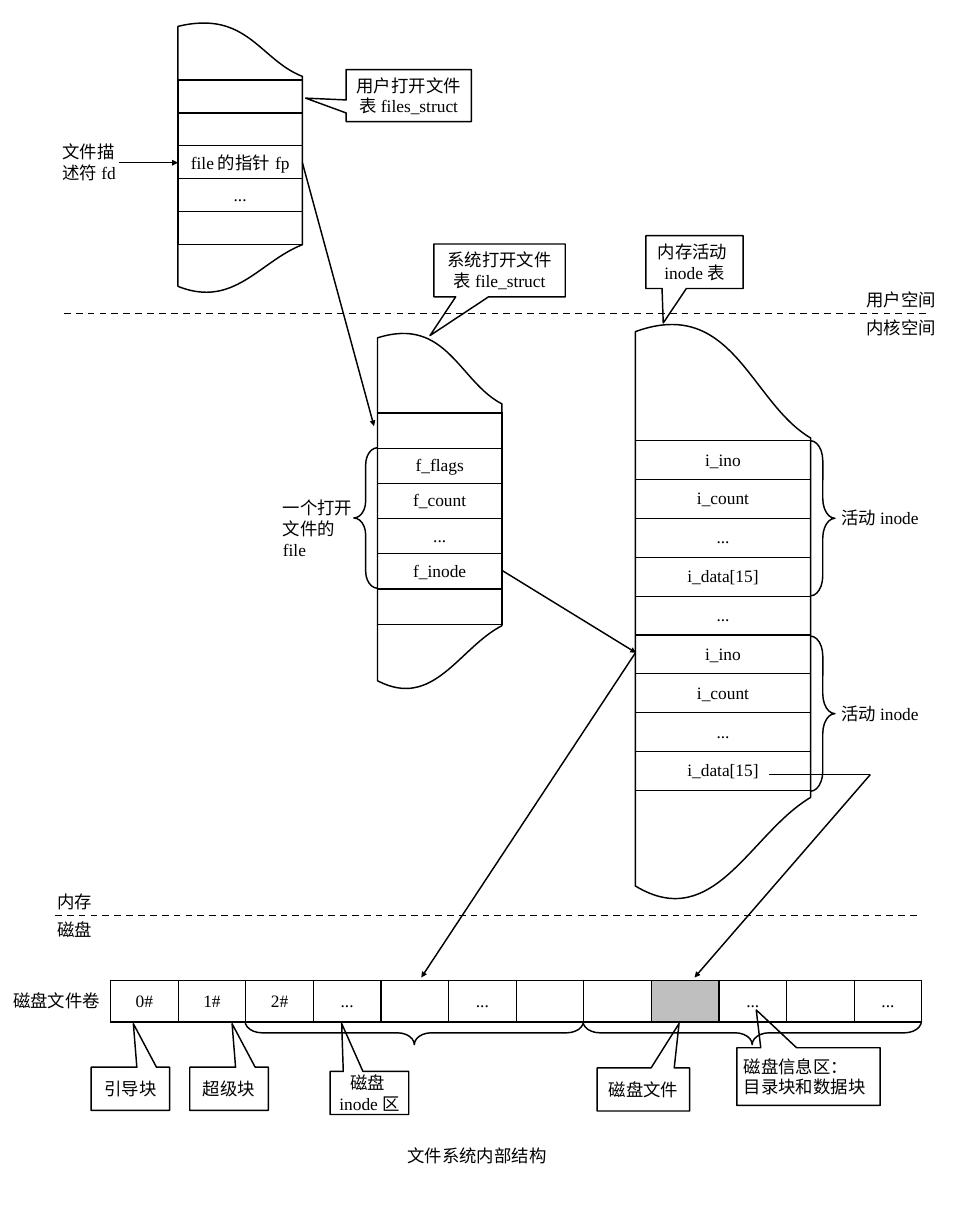
from itertools import groupby

from lxml import etree
from pptx import Presentation
from pptx.dml.color import RGBColor
from pptx.enum.dml import MSO_LINE
from pptx.enum.shapes import MSO_CONNECTOR, MSO_SHAPE
from pptx.enum.text import MSO_ANCHOR, MSO_AUTO_SIZE, PP_ALIGN
from pptx.oxml import parse_xml
from pptx.oxml.ns import nsdecls, qn
from pptx.util import Inches, Pt

BLACK = RGBColor(0x00, 0x00, 0x00)
GRAY = RGBColor(0xBF, 0xBF, 0xBF)
LINE_WIDTH = Pt(1.5)


def write(text_frame, text, align=PP_ALIGN.LEFT, anchor=MSO_ANCHOR.TOP):
    """Fill a text frame, with Arial for Chinese and Times New Roman for Latin."""
    text_frame.word_wrap = True
    text_frame.auto_size = MSO_AUTO_SIZE.NONE
    text_frame.vertical_anchor = anchor
    write_paragraphs(text_frame, text, align)


def write_paragraphs(text_frame, text, align):
    """Write one paragraph per line of text, split into runs by script."""
    for index, line in enumerate(text.split("\n")):
        paragraph = text_frame.add_paragraph() if index else text_frame.paragraphs[0]
        paragraph.alignment = align
        for is_latin, characters in groupby(line, str.isascii):
            run = paragraph.add_run()
            run.text = "".join(characters)
            run.font.name = "Times New Roman" if is_latin else "Arial"
            run.font.size = Pt(18)
            run.font.color.rgb = BLACK


def add_label(slide, text, left, top, width, height=0.4, align=PP_ALIGN.LEFT):
    """Add a plain text label."""
    box = slide.shapes.add_textbox(Inches(left), Inches(top), Inches(width), Inches(height))
    write(box.text_frame, text, align)


def outline(shape):
    """Give a shape a black outline, no fill and no shadow."""
    shape.shadow.inherit = False
    shape.fill.background()
    shape.line.color.rgb = BLACK
    shape.line.width = LINE_WIDTH


def add_outlined(slide, kind, box, adjustments):
    """Add an outlined preset shape with its adjustments."""
    shape = slide.shapes.add_shape(kind, *map(Inches, box))
    outline(shape)
    for index, value in enumerate(adjustments):
        shape.adjustments[index] = value
    return shape


def add_callout(slide, text, box, tip, align=PP_ALIGN.CENTER):
    """Add a rectangular callout whose tip is relative to its centre."""
    callout = add_outlined(slide, MSO_SHAPE.RECTANGULAR_CALLOUT, box, tip)
    write(callout.text_frame, text, align, MSO_ANCHOR.MIDDLE)


def add_line(slide, start, end, arrow=False, dashed=False):
    """Add a straight line, with an arrowhead or dashes if asked."""
    points = map(Inches, (*start, *end))
    connector = slide.shapes.add_connector(MSO_CONNECTOR.STRAIGHT, *points)
    connector.line.color.rgb = BLACK
    connector.line.width = Pt(1.75) if dashed else LINE_WIDTH
    if dashed:
        connector.line.dash_style = MSO_LINE.DASH
    if arrow:
        etree.SubElement(connector.line._get_or_add_ln(), qn("a:tailEnd"), type="triangle")
    etree.SubElement(connector._element.spPr, qn("a:effectLst"))


def add_grid(slide, rows, left, top, width, height):
    """Add a table with black borders and evenly sized cells."""
    frame = slide.shapes.add_table(len(rows), len(rows[0]), *map(Inches, (left, top, width, height)))
    table = frame.table
    table.first_row = table.horz_banding = False
    for row, texts in zip(table.rows, rows):
        row.height = Inches(height / len(rows))
        for cell, text in zip(row.cells, texts):
            cell.vertical_anchor = MSO_ANCHOR.MIDDLE
            write_paragraphs(cell.text_frame, text, PP_ALIGN.CENTER)
            properties = cell._tc.get_or_add_tcPr()
            for side in ("lnL", "lnR", "lnT", "lnB"):
                properties.append(parse_xml(
                    f'<a:{side} {nsdecls("a")} w="{LINE_WIDTH}"><a:solidFill>'
                    f'<a:srgbClr val="{BLACK}"/></a:solidFill></a:{side}>'))
            cell.fill.background()
    return table


def add_torn_column(slide, left, top, width, depth, side_end):
    """Add a column outline with a wavy top and bottom of the given depth."""
    crest, trough = 0.066 * depth, side_end + 0.947 * depth
    corners = [(left + width, top - crest), (left + width, top + trough), (left, top + trough)]
    builder = slide.shapes.build_freeform(Inches(left), Inches(top - crest))
    builder.add_line_segments([(Inches(x), Inches(y)) for x, y in corners], close=True)
    shape = builder.convert_to_shape()
    outline(shape)
    segments = (
        ("moveTo", [(0, 0)]),
        ("cubicBezTo", [(0.556, -depth / 3), (0.656, depth * 2 / 3), (1, depth)]),
        ("lnTo", [(1, side_end)]),
        ("cubicBezTo", [(0.656, side_end + depth / 3), (0.45, side_end + depth * 1.28),
                        (0, side_end + depth * 0.833)]),
        ("close", []))
    contour = next(shape._element.iter(qn("a:path")))
    for child in list(contour):
        contour.remove(child)
    for name, points in segments:
        segment = etree.SubElement(contour, qn(f"a:{name}"))
        for x, y in points:
            etree.SubElement(segment, qn("a:pt"), x=str(int(Inches(x * width))),
                             y=str(int(Inches(y + crest))))


def add_user_table(slide, left, top, width):
    """Draw the table of files opened by the user."""
    add_torn_column(slide, left, top, width, 0.72, 3.14)
    add_grid(slide, [[""], [""], ["file的指针fp"], ["..."], [""]], left, top + 0.77, width, 2.37)
    add_callout(slide, "用户打开文件表files_struct", (left + 2.42, top + 0.62, 1.8, 0.75), (-0.824, 0.049))
    add_line(slide, (left - 0.85, top + 1.96), (left, top + 1.96), arrow=True)
    add_label(slide, "文件描\n述符fd", left - 1.76, top + 1.6, 1.04, 0.71)


def add_system_table(slide, left, top, width):
    """Draw the table of files opened in the system."""
    add_torn_column(slide, left, top, width, 0.95, 4.14)
    fields = ["", "f_flags", "f_count", "...", "f_inode", ""]
    add_grid(slide, [[field] for field in fields], left, top + 1.08, width, 3.04)
    add_callout(slide, "系统打开文件表file_struct", (left + 0.81, top - 1.35, 1.89, 0.76), (-0.53, 1.235))
    add_outlined(slide, MSO_SHAPE.LEFT_BRACE, (left - 0.34, top + 1.58, 0.34, 2.02), (0.715, 0.5))
    add_label(slide, "一个打开\n文件的file", left - 1.46, top + 2.24, 1.29, 0.71)


def add_inode_table(slide, left, top, width):
    """Draw the table of active inodes in memory."""
    add_torn_column(slide, left, top, width, 1.53, 6.7)
    inode = ["i_ino", "i_count", "...", "i_data[15]"]
    add_grid(slide, [[field] for field in inode + ["..."] + inode], left, top + 1.57, width, 5.03)
    add_callout(slide, "内存活动inode表", (left + 0.15, top - 1.38, 1.4, 0.76), (-0.321, 1.152))
    for brace_top in (top + 1.57, top + 4.38):
        add_outlined(slide, MSO_SHAPE.RIGHT_BRACE, (left + width, brace_top, 0.35, 2.23), (0.814, 0.5))
        add_label(slide, "活动inode", left + width + 0.34, brace_top + 0.91, 1.48)


def add_disk_volume(slide, left, top, width, height):
    """Draw the row of disk blocks with its braces and callouts."""
    blocks = ["0#", "1#", "2#", "...", "", "...", "", "", "", "...", "", "..."]
    table = add_grid(slide, [blocks], left, top, width, height)
    file_block = table.cell(0, 8)
    file_block.fill.solid()
    file_block.fill.fore_color.rgb = GRAY
    add_label(slide, "磁盘文件卷", left - 1.5, top + 0.09, 1.48)
    for brace_left in (left + 4.2, left + 9.06):
        brace = add_outlined(slide, MSO_SHAPE.LEFT_BRACE, (brace_left, top - 1.68, 0.34, 4.87), (0.715, 0.5))
        brace.rotation = 270
    for text, x, y, callout_width, tip in (
            ("引导块", -0.28, 1.25, 1.13, (0.039, -1.51)),
            ("超级块", 1.14, 1.25, 1.13, (0.039, -1.51)),
            ("磁盘inode区", 3.16, 1.31, 1.13, (-0.354, -1.611)),
            ("磁盘文件", 7, 1.26, 1.33, (0.386, -1.53))):
        add_callout(slide, text, (left + x, top + y, callout_width, 0.62), tip)
    add_callout(slide, "磁盘信息区：\n目录块和数据块", (left + 9.01, top + 0.97, 2.06, 0.83),
                (-0.365, -1.156), PP_ALIGN.LEFT)


def add_boundary(slide, left, top, width, label_left, labels, align):
    """Draw a dashed boundary with one label above and one below."""
    add_line(slide, (left, top), (left + width, top), dashed=True)
    for text, label_top in zip(labels, (top - 0.4, top)):
        add_label(slide, text, label_left, label_top, 1.48, align=align)


def add_links(slide):
    """Draw the pointers that lead from one table to the next."""
    add_line(slide, (4.35, 2.34), (5.38, 6.13), arrow=True)
    add_line(slide, (7.23, 8.21), (9.15, 9.39), arrow=True)
    add_line(slide, (9.14, 9.39), (6.06, 14.06), arrow=True)
    add_line(slide, (11.06, 11.14), (12.52, 11.14))
    add_line(slide, (12.52, 11.14), (9.99, 14.06), arrow=True)


def add_title(slide, left, top, width, height):
    """Place the title of the diagram."""
    title = slide.shapes.title
    title.left, title.top, title.width, title.height = map(Inches, (left, top, width, height))
    write(title.text_frame, "文件系统内部结构", PP_ALIGN.RIGHT)


def main():
    """Build the slide and save it."""
    presentation = Presentation()
    presentation.slide_width, presentation.slide_height = Inches(13.78), Inches(17.72)
    slide = presentation.slides.add_slide(presentation.slide_layouts[5])
    add_boundary(slide, 0.92, 4.51, 12.46, 12.08, ("用户空间", "内核空间"), PP_ALIGN.RIGHT)
    add_user_table(slide, 2.56, 0.38, 1.79)
    add_system_table(slide, 5.43, 4.86, 1.79)
    add_inode_table(slide, 9.14, 4.77, 2.52)
    add_boundary(slide, 0.79, 13.17, 12.47, 0.73, ("内存", "磁盘"), PP_ALIGN.LEFT)
    add_disk_volume(slide, 1.59, 14.1, 11.67, 0.6)
    add_links(slide)
    add_title(slide, 5.31, 16.42, 2.65, 0.4)
    presentation.save("out.pptx")


if __name__ == "__main__":
    main()
